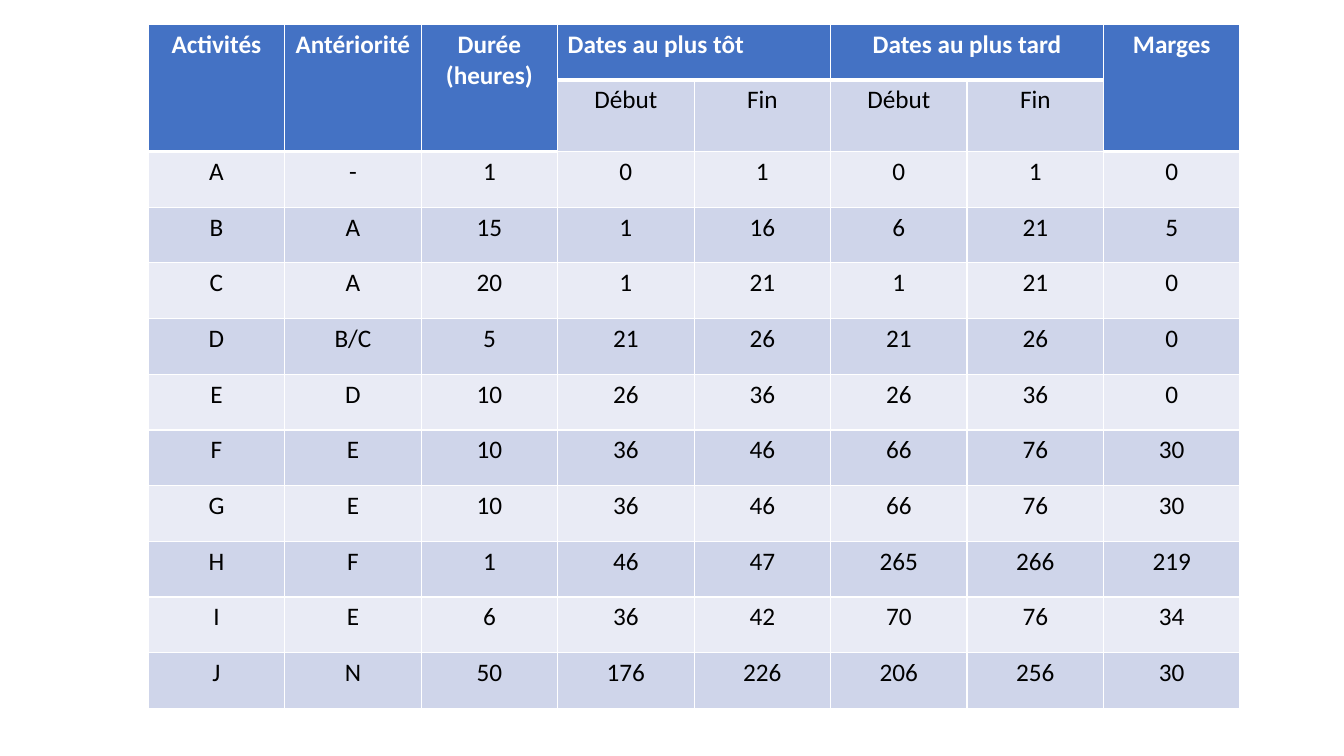
from dataclasses import dataclass

from lxml.etree import SubElement
from pptx import Presentation
from pptx.dml.color import RGBColor
from pptx.enum.text import PP_ALIGN
from pptx.oxml.ns import qn
from pptx.table import Table, _Cell
from pptx.util import Inches, Pt

COLORS = {
    "header": "4472C4",
    "band_dark": "CFD5EA",
    "band_light": "E9EBF5",
    "border": "FFFFFF",
    "header_text": "FFFFFF",
    "body_text": "000000",
}
COLUMN_COUNT, ROW_COUNT = 8, 12
TABLE_LEFT, TABLE_TOP = Inches(1.47), Inches(0.24)
COLUMN_WIDTH = Inches(10.83 / COLUMN_COUNT)
ROW_HEIGHT = Inches(6.63 / ROW_COUNT)


@dataclass(frozen=True)
class Heading:
    text: str
    column: int
    row_span: int = 1
    column_span: int = 1
    alignment: PP_ALIGN = PP_ALIGN.CENTER


@dataclass(frozen=True)
class CellStyle:
    fill: str
    text: str
    bold: bool = False
    bottom_width: float = 1


HEADER = CellStyle("header", "header_text", bold=True, bottom_width=3)
DARK_BAND = CellStyle("band_dark", "body_text")
LIGHT_BAND = CellStyle("band_light", "body_text")

HEADINGS = [
    Heading("Activités", 0, row_span=2),
    Heading("Antériorité", 1, row_span=2),
    Heading("Durée\n(heures)", 2, row_span=2),
    Heading("Dates au plus tôt", 3, column_span=2, alignment=PP_ALIGN.LEFT),
    Heading("Dates au plus tard", 5, column_span=2),
    Heading("Marges", 7, row_span=2),
]
SUBHEADINGS = ["Début", "Fin", "Début", "Fin"]
ACTIVITIES = [
    ["A", "-", 1, 0, 1, 0, 1, 0],
    ["B", "A", 15, 1, 16, 6, 21, 5],
    ["C", "A", 20, 1, 21, 1, 21, 0],
    ["D", "B/C", 5, 21, 26, 21, 26, 0],
    ["E", "D", 10, 26, 36, 26, 36, 0],
    ["F", "E", 10, 36, 46, 66, 76, 30],
    ["G", "E", 10, 36, 46, 66, 76, 30],
    ["H", "F", 1, 46, 47, 265, 266, 219],
    ["I", "E", 6, 36, 42, 70, 76, 34],
    ["J", "N", 50, 176, 226, 206, 256, 30],
]


def set_borders(cell: _Cell, bottom_width: float) -> None:
    properties = cell._tc.get_or_add_tcPr()
    widths = {"a:lnL": 1, "a:lnR": 1, "a:lnT": 1, "a:lnB": bottom_width}
    for tag, width in widths.items():
        line = SubElement(properties, qn(tag), w=str(Pt(width)))
        fill = SubElement(line, qn("a:solidFill"))
        SubElement(fill, qn("a:srgbClr"), val=COLORS["border"])


def style_cell(cell: _Cell, style: CellStyle) -> None:
    set_borders(cell, style.bottom_width)
    cell.fill.solid()
    cell.fill.fore_color.rgb = RGBColor.from_string(COLORS[style.fill])


def write_cell(cell: _Cell, text: str, style: CellStyle,
               alignment: PP_ALIGN = PP_ALIGN.CENTER) -> None:
    cell.text = text
    font_format = {"name": "Calibri", "size": Pt(18), "bold": style.bold}
    for paragraph in cell.text_frame.paragraphs:
        paragraph.alignment = alignment
        for run in paragraph.runs:
            for attribute, value in font_format.items():
                setattr(run.font, attribute, value)
            run.font.color.rgb = RGBColor.from_string(COLORS[style.text])


def draw_heading(table: Table, heading: Heading) -> None:
    last_row = heading.row_span - 1
    last_column = heading.column + heading.column_span - 1
    for row in range(heading.row_span):
        for column in range(heading.column, last_column + 1):
            style_cell(table.cell(row, column), HEADER)
    origin = table.cell(0, heading.column)
    origin.merge(table.cell(last_row, last_column))
    write_cell(origin, heading.text, HEADER, heading.alignment)


def draw_row(table: Table, row: int, first_column: int, values: list) -> None:
    style = DARK_BAND if row % 2 else LIGHT_BAND
    for column, value in enumerate(values, first_column):
        cell = table.cell(row, column)
        style_cell(cell, style)
        write_cell(cell, str(value), style)


def main() -> None:
    presentation = Presentation()
    presentation.slide_width = Inches(13.33)
    presentation.slide_height = Inches(7.5)
    slide = presentation.slides.add_slide(presentation.slide_layouts[6])
    table = slide.shapes.add_table(
        ROW_COUNT, COLUMN_COUNT, TABLE_LEFT, TABLE_TOP,
        COLUMN_WIDTH * COLUMN_COUNT, ROW_HEIGHT * ROW_COUNT).table

    for heading in HEADINGS:
        draw_heading(table, heading)
    draw_row(table, 1, 3, SUBHEADINGS)
    for row, activity in enumerate(ACTIVITIES, 2):
        draw_row(table, row, 0, activity)

    presentation.save("out.pptx")


if __name__ == "__main__":
    main()
